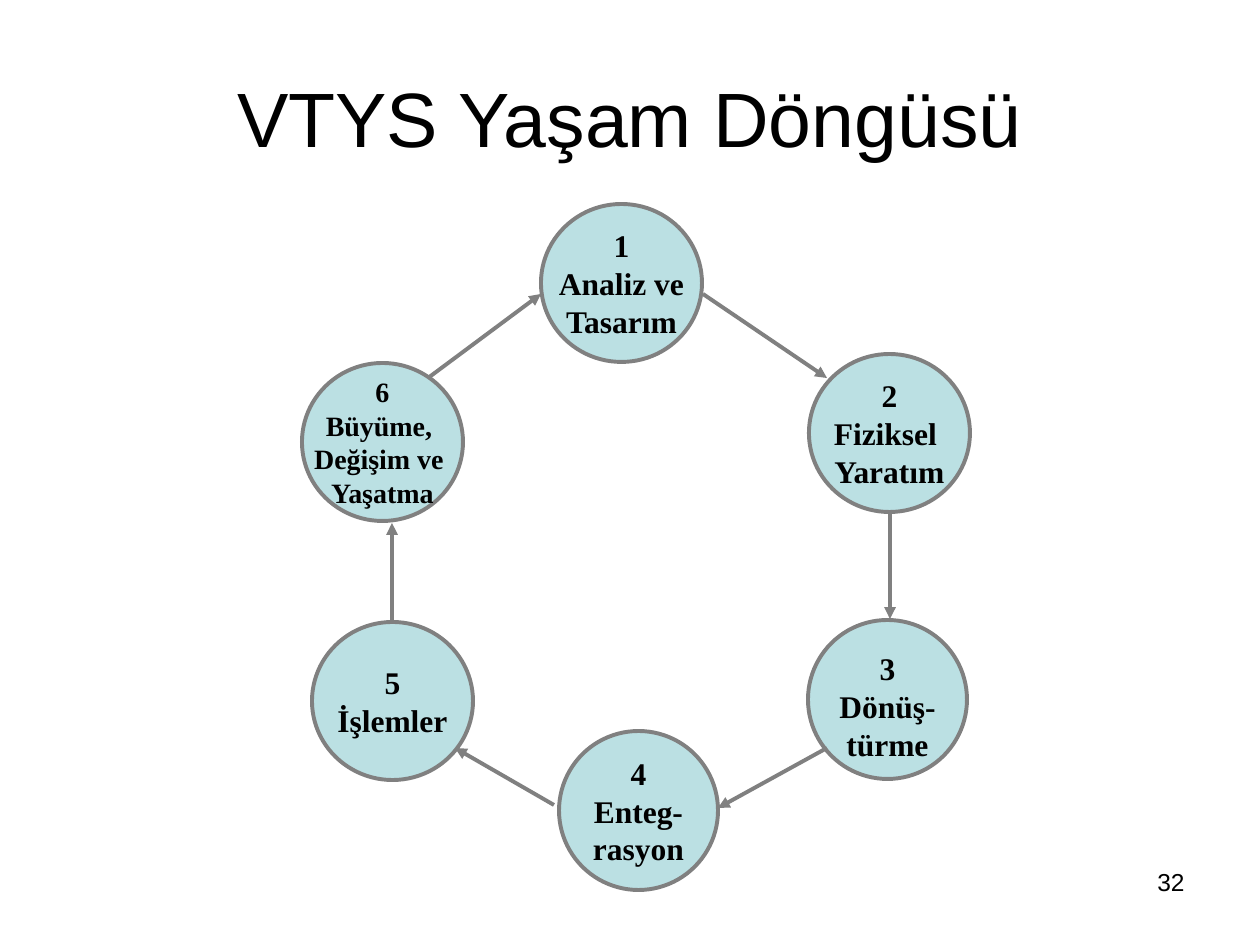
from lxml import etree
from pptx import Presentation
from pptx.dml.color import RGBColor
from pptx.enum.shapes import MSO_CONNECTOR, MSO_SHAPE
from pptx.enum.text import MSO_ANCHOR, PP_ALIGN
from pptx.oxml.ns import qn
from pptx.util import Emu, Pt

STRAIGHT, OVAL = MSO_CONNECTOR.STRAIGHT, MSO_SHAPE.OVAL
TOP, MIDDLE = MSO_ANCHOR.TOP, MSO_ANCHOR.MIDDLE
CENTER, RIGHT = PP_ALIGN.CENTER, PP_ALIGN.RIGHT

BLACK = RGBColor(0x00, 0x00, 0x00)
GRAY = RGBColor(0x80, 0x80, 0x80)
AQUA = RGBColor(0xBB, 0xE0, 0xE3)
SANS, SERIF = "Arial", "Times New Roman"
LINE_WIDTH = Pt(2.25)

TITLE = "VTYS Yaşam Döngüsü"
PAGE_NUMBER = "32"

WIDE, ROUND = (161, 158), (159, 159)
# left, top, (width, height), font size, anchor, lines
STAGES = [
    (541, 204, WIDE, 18, MIDDLE, ["1", "Analiz ve", "Tasarım"]),
    (809, 354, WIDE, 18, MIDDLE, ["2", "Fiziksel ", "Yaratım"]),
    (808, 620, ROUND, 18, TOP, ["3", "Dönüş-", "türme"]),
    (559, 731, ROUND, 18, MIDDLE, ["4", "Enteg-", "rasyon"]),
    (312, 622, WIDE, 18, MIDDLE, ["5", "İşlemler"]),
    (302, 363, WIDE, 16, MIDDLE, ["6", "Büyüme, ", "Değişim ve ", "Yaşatma"]),
]
# x and y of the start, x and y of the arrowhead
ARROWS = [
    (703, 294, 827, 378),
    (890, 510, 890, 619),
    (827, 748, 718, 808),
    (554, 805, 455, 748),
    (392, 621, 392, 523),
    (428, 378, 541, 294),
]


def px(n):
    return Emu(round(n * 914400 / 126))


def write(shape, lines, font, size, align, anchor, bold=False, wrap=True):
    tf = shape.text_frame
    tf.word_wrap = wrap
    tf.vertical_anchor = anchor
    tf.text = "\n".join(lines)
    for p in tf.paragraphs:
        p.alignment = align
        p.font.name = font
        p.font.size = Pt(size)
        p.font.bold = bold
        p.font.color.rgb = BLACK


def add_label(slide, box, text, size, align, anchor):
    s = slide.shapes.add_textbox(*map(px, box))
    write(s, [text], SANS, size, align, anchor)


def add_stage(slide, left, top, extent, size, anchor, lines):
    s = slide.shapes.add_shape(OVAL, *map(px, (left, top, *extent)))
    s.shadow.inherit = False
    s.fill.solid()
    s.fill.fore_color.rgb = AQUA
    s.line.color.rgb = GRAY
    s.line.width = LINE_WIDTH
    write(s, lines, SERIF, size, CENTER, anchor, bold=True, wrap=False)


def add_arrow(slide, ends):
    c = slide.shapes.add_connector(STRAIGHT, *map(px, ends))
    c.line.color.rgb = GRAY
    c.line.width = LINE_WIDTH
    etree.SubElement(c.line._get_or_add_ln(), qn("a:tailEnd"), type="triangle")
    etree.SubElement(c._element.spPr, qn("a:effectLst"))


def main():
    prs = Presentation()
    prs.slide_width, prs.slide_height = px(1260), px(945)
    slide = prs.slides.add_slide(prs.slide_layouts[6])
    for stage in STAGES:
        add_stage(slide, *stage)
    for ends in ARROWS:
        add_arrow(slide, ends)
    add_label(slide, (63, 38, 1134, 158), TITLE, 44, CENTER, MIDDLE)
    add_label(slide, (903, 861, 294, 66), PAGE_NUMBER, 14, RIGHT, TOP)
    prs.save("out.pptx")


if __name__ == "__main__":
    main()
